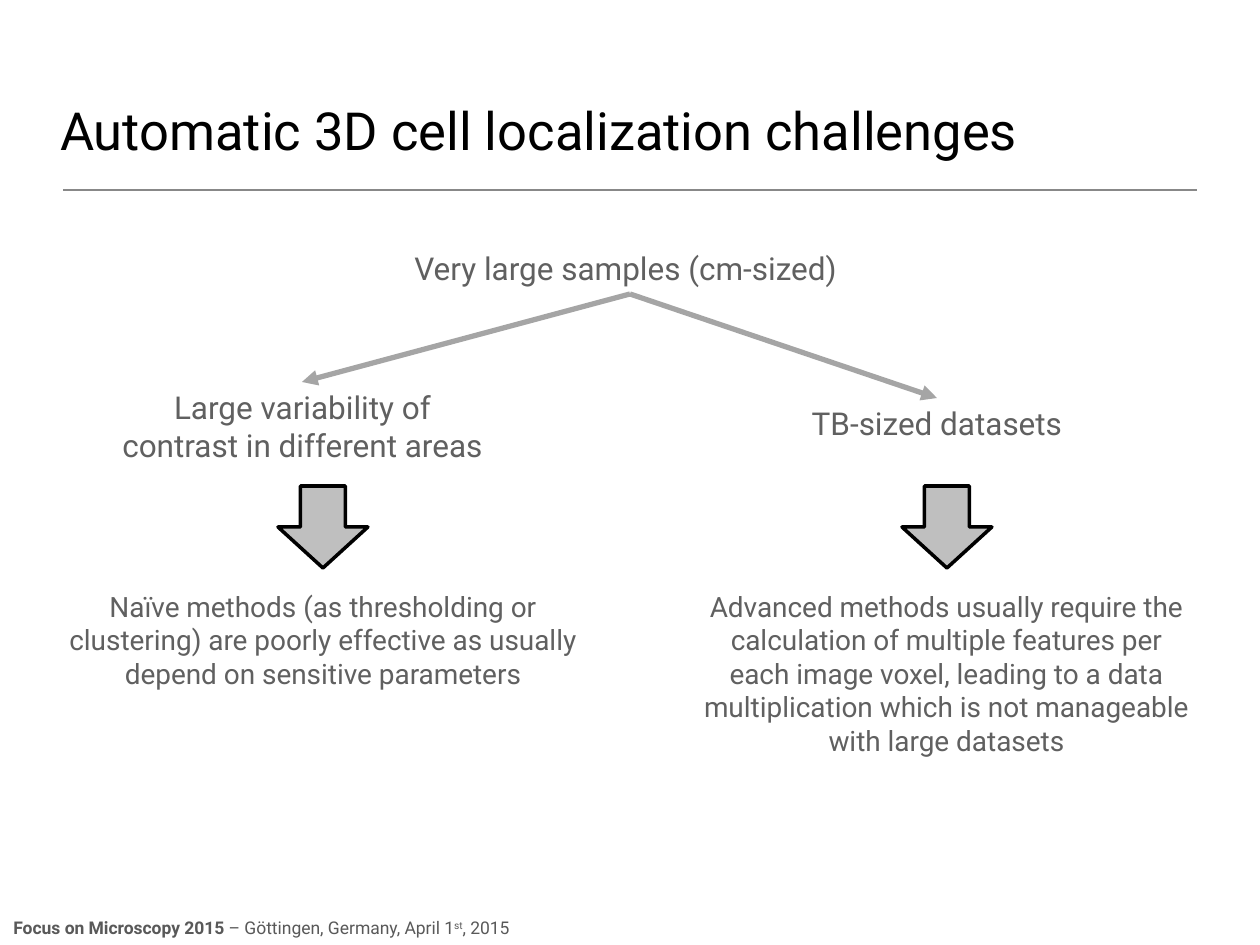
from lxml.etree import SubElement
from pptx import Presentation
from pptx.dml.color import RGBColor
from pptx.enum.shapes import MSO_CONNECTOR as Connector, MSO_SHAPE as Shape
from pptx.enum.text import MSO_ANCHOR as Anchor, MSO_AUTO_SIZE as AutoSize, PP_ALIGN as Align
from pptx.oxml.ns import qn
from pptx.util import Emu, Pt

PX_PER_INCH = 126
FONT = "Roboto"
BODY = "606060"
FOOTER = "595959"
ARROW = "A5A5A5"


def px(value):
    return Emu(round(value * 914400 / PX_PER_INCH))


def color(value):
    return RGBColor.from_string(value)


def set_all(target, **values):
    for name, value in values.items():
        setattr(target, name, value)


def add_span(para, text, size, ink, bold=False, baseline=0):
    span = para.add_run()
    span.text = text
    set_all(span.font, name=FONT, size=Pt(size), bold=bold)
    span.font.color.rgb = color(ink)
    if baseline:
        span.font._element.set("baseline", str(baseline))


def add_title(page, text):
    title = page.shapes.title
    set_all(title, left=px(55), top=px(31), width=px(1149), height=px(135))
    frame = title.text_frame
    sides = ("margin_left", "margin_top", "margin_right", "margin_bottom")
    set_all(frame, word_wrap=True, auto_size=AutoSize.NONE,
            vertical_anchor=Anchor.BOTTOM, **dict.fromkeys(sides, px(5)))
    para = frame.paragraphs[0]
    para.alignment = Align.LEFT
    add_span(para, text, 30, "000000")


def add_text(page, left, top, width, height, align=Align.CENTER):
    box = page.shapes.add_textbox(px(left), px(top), px(width), px(height))
    set_all(box.text_frame, word_wrap=True, auto_size=AutoSize.SHAPE_TO_FIT_TEXT)
    para = box.text_frame.paragraphs[0]
    para.alignment = align
    return para


def add_line(page, start, end, ink, weight, arrow=False):
    line = page.shapes.add_connector(Connector.STRAIGHT, *map(px, start + end))
    line.line.color.rgb = color(ink)
    line.line.width = Pt(weight)
    if arrow:
        SubElement(line.line._get_or_add_ln(), qn("a:tailEnd"), type="triangle")
    SubElement(line._element.spPr, qn("a:effectLst"))


def add_down_arrow(page, left, top):
    arrow = page.shapes.add_shape(Shape.DOWN_ARROW, px(left), px(top), px(90), px(82))
    arrow.shadow.inherit = False
    arrow.fill.solid()
    arrow.fill.fore_color.rgb = color("BFBFBF")
    arrow.line.color.rgb = color("000000")
    arrow.line.width = Pt(2)


def main():
    deck = Presentation()
    set_all(deck, slide_width=px(1260), slide_height=px(945))
    page = deck.slides.add_slide(deck.slide_layouts[5])

    add_line(page, (63, 190), (1197, 190), "888888", 1)
    add_title(page, "Automatic 3D cell localization challenges")

    footer = add_text(page, 1, 911, 1260, 34, Align.LEFT)
    add_span(footer, "Focus on Microscopy 2015 ", 10, FOOTER, bold=True)
    add_span(footer, "– Göttingen, Germany, April 1", 10, FOOTER)
    add_span(footer, "st", 10, FOOTER, baseline=30000)
    add_span(footer, ", 2015", 10, FOOTER)

    root = add_text(page, 402, 243, 456, 50, Align.LEFT)
    add_span(root, "Very large samples (cm-sized)", 18, BODY)

    branches = [
        ("Large variability of contrast in different areas", (105, 382, 395, 89),
         "Naïve methods (as thresholding or clustering) are poorly effective "
         "as usually depend on sensitive parameters", (55, 583, 536, 115),
         (302, 382), 278),
        ("TB-sized datasets", (719, 398, 436, 50),
         "Advanced methods usually require the calculation of multiple features "
         "per each image voxel, leading to a data multiplication which is not "
         "manageable with large datasets", (689, 583, 515, 183),
         (937, 398), 902),
    ]
    for issue, issue_place, effect, effect_place, tip, arrow_left in branches:
        add_span(add_text(page, *issue_place), issue, 18, BODY)
        add_span(add_text(page, *effect_place), effect, 16, BODY)
        add_line(page, (630, 294), tip, ARROW, 3, arrow=True)
        add_down_arrow(page, arrow_left, 486)

    deck.save("out.pptx")


if __name__ == "__main__":
    main()
